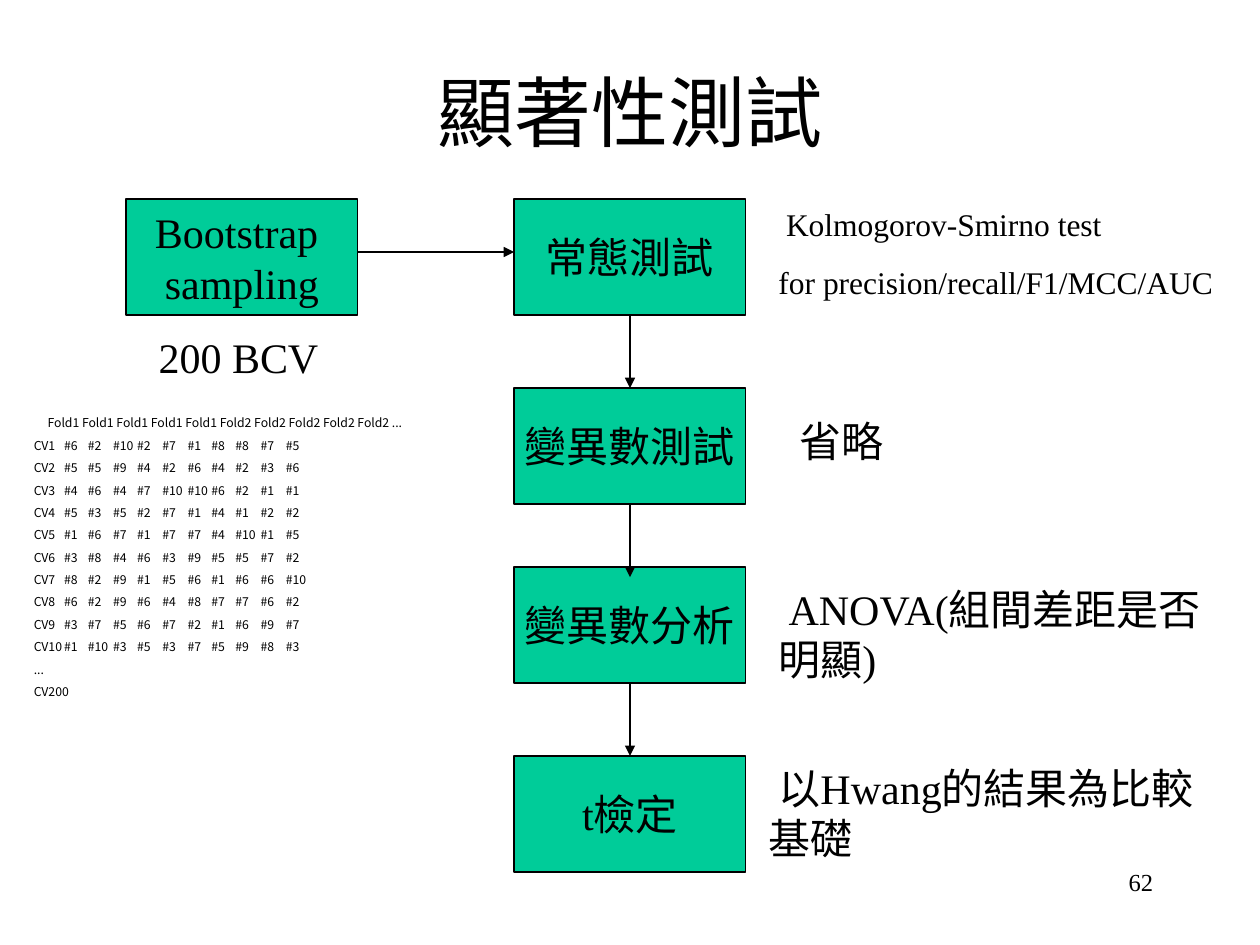
from lxml import etree
from pptx import Presentation
from pptx.dml.color import RGBColor
from pptx.enum.shapes import MSO_CONNECTOR, MSO_SHAPE
from pptx.enum.text import MSO_ANCHOR, PP_ALIGN
from pptx.oxml.ns import qn
from pptx.util import Inches, Pt

LEFT, CENTER, RIGHT = PP_ALIGN.LEFT, PP_ALIGN.CENTER, PP_ALIGN.RIGHT
TOP, MIDDLE = MSO_ANCHOR.TOP, MSO_ANCHOR.MIDDLE
RECTANGLE = MSO_SHAPE.RECTANGLE
STRAIGHT = MSO_CONNECTOR.STRAIGHT

COLORS = {"box": "00CC99", "ink": "000000"}
SERIF, SANS = "Times New Roman", "Noto Sans CJK JP"
BOX_WIDTH, BOX_HEIGHT = 1.84, 0.92
STEP_LEFT = 4.08
STEP_CENTER = STEP_LEFT + BOX_WIDTH / 2

# Test steps: top of the box and its label
STEPS = [(1.58, "常態測試"), (3.08, "變異數測試"), (4.5, "變異數分析"), (6, "t檢定")]

# Fold numbers of each cross-validation run
FOLDS = [
    "6 2 10 2 7 1 8 8 7 5",
    "5 5 9 4 2 6 4 2 3 6",
    "4 6 4 7 10 10 6 2 1 1",
    "5 3 5 2 7 1 4 1 2 2",
    "1 6 7 1 7 7 4 10 1 5",
    "3 8 4 6 3 9 5 5 7 2",
    "8 2 9 1 5 6 1 6 6 10",
    "6 2 9 6 4 8 7 7 6 2",
    "3 7 5 6 7 2 1 6 9 7",
    "1 10 3 5 3 7 5 9 8 3",
]


def color(name):
    return RGBColor.from_string(COLORS[name])


def write(text_frame, text, size=24, font=SERIF, align=LEFT, anchor=TOP,
          wrap=True, space_before=0, indent=0, tabs=()):
    """Write one paragraph per line; indent applies to the first line."""
    text_frame.word_wrap = wrap
    text_frame.vertical_anchor = anchor
    for index, line in enumerate(text.split("\n")):
        paragraph = text_frame.add_paragraph() if index else text_frame.paragraphs[0]
        paragraph.alignment = align
        properties = paragraph._p.get_or_add_pPr()
        if index:
            paragraph.space_before = Pt(space_before)
        elif indent:
            properties.set("indent", str(Inches(indent)))
        if tabs:
            tab_list = etree.SubElement(properties, qn("a:tabLst"))
            for position in tabs:
                etree.SubElement(tab_list, qn("a:tab"), pos=str(Inches(position)), algn="l")
        run = paragraph.add_run()
        run.text = line
        run.font.size = Pt(size)
        run.font.name = font
        run.font.color.rgb = color("ink")
        etree.SubElement(run._r.get_or_add_rPr(), qn("a:ea"), typeface=SANS)


class FlowSlide:
    """Style and drawing methods for the current slide."""

    line_width = Pt(0.75)

    def __init__(self, slide):
        self.slide = slide

    def text(self, left, top, width, height, text, **style):
        shape = self.slide.shapes.add_textbox(
            Inches(left), Inches(top), Inches(width), Inches(height))
        write(shape.text_frame, text, **style)

    def box(self, left, top, text):
        shape = self.slide.shapes.add_shape(
            RECTANGLE, Inches(left), Inches(top), Inches(BOX_WIDTH), Inches(BOX_HEIGHT))
        shape.shadow.inherit = False
        shape.fill.solid()
        shape.fill.fore_color.rgb = color("box")
        shape.line.color.rgb = color("ink")
        shape.line.width = self.line_width
        write(shape.text_frame, text, align=CENTER, anchor=MIDDLE, wrap=False)
        return shape

    def arrow(self, start, end):
        connector = self.slide.shapes.add_connector(
            STRAIGHT, *(Inches(value) for value in (*start, *end)))
        connector.line.color.rgb = color("ink")
        connector.line.width = self.line_width
        etree.SubElement(connector.line._get_or_add_ln(), qn("a:tailEnd"), type="triangle")
        etree.SubElement(connector._element.spPr, qn("a:effectLst"))
        return connector


def main():
    presentation = Presentation()
    presentation.slide_width = Inches(10)
    presentation.slide_height = Inches(7.5)
    flow = FlowSlide(presentation.slides.add_slide(presentation.slide_layouts[6]))

    # Title and page number
    flow.text(0.75, 0.25, 8.5, 1.25, "顯著性測試", size=44, align=CENTER, anchor=MIDDLE)
    flow.text(7.17, 6.83, 2.08, 0.5, "62", size=14, align=RIGHT)

    # Boxes
    flow.box(1, 1.58, "Bootstrap \nsampling")
    steps = [flow.box(STEP_LEFT, top, label) for top, label in STEPS]

    # Arrows; the second one ends just inside its box
    flow.arrow((1 + BOX_WIDTH, 2), (STEP_LEFT, 2))
    arrow_ends = [3.08, 4.58, 6]
    for index, end in enumerate(arrow_ends):
        start = STEPS[index][0] + BOX_HEIGHT
        arrow = flow.arrow((STEP_CENTER, start), (STEP_CENTER, end))
        arrow.begin_connect(steps[index], 2)
        if end == STEPS[index + 1][0]:
            arrow.end_connect(steps[index + 1], 0)

    # Remarks beside the boxes
    flow.text(6.08, 1.58, 3.75, 0.86,
              "Kolmogorov-Smirno test\nfor precision/recall/F1/MCC/AUC",
              size=18, space_before=11.2, indent=0.06)
    remarks = [
        (6.17, 3.25, 1.08, 0.5, "省略"),
        (6.08, 4.58, 3.75, 0.9, "ANOVA(組間差距是否明顯)"),
        (6, 6, 3.75, 0.9, "以Hwang的結果為比較基礎"),
        (1.08, 2.58, 1.75, 0.5, "200 BCV"),
    ]
    for remark in remarks:
        flow.text(*remark, indent=0.08)

    # Fold listing, aligned on evenly spaced tab stops
    header = " ".join(["Fold1"] * 5 + ["Fold2"] * 5 + ["..."])
    rows = ["\t".join([f"CV{number}"] + [f"#{fold}" for fold in folds.split()])
            for number, folds in enumerate(FOLDS, 1)]
    tabs = [round(0.24 + 0.195 * column, 2) for column in range(10)]
    flow.text(0.17, 3.25, 3.67, 3.63, "\n".join([header, *rows, "...", "CV200"]),
              size=7, font=SANS, space_before=4.4, indent=0.11, tabs=tabs)

    presentation.save("out.pptx")


if __name__ == "__main__":
    main()
